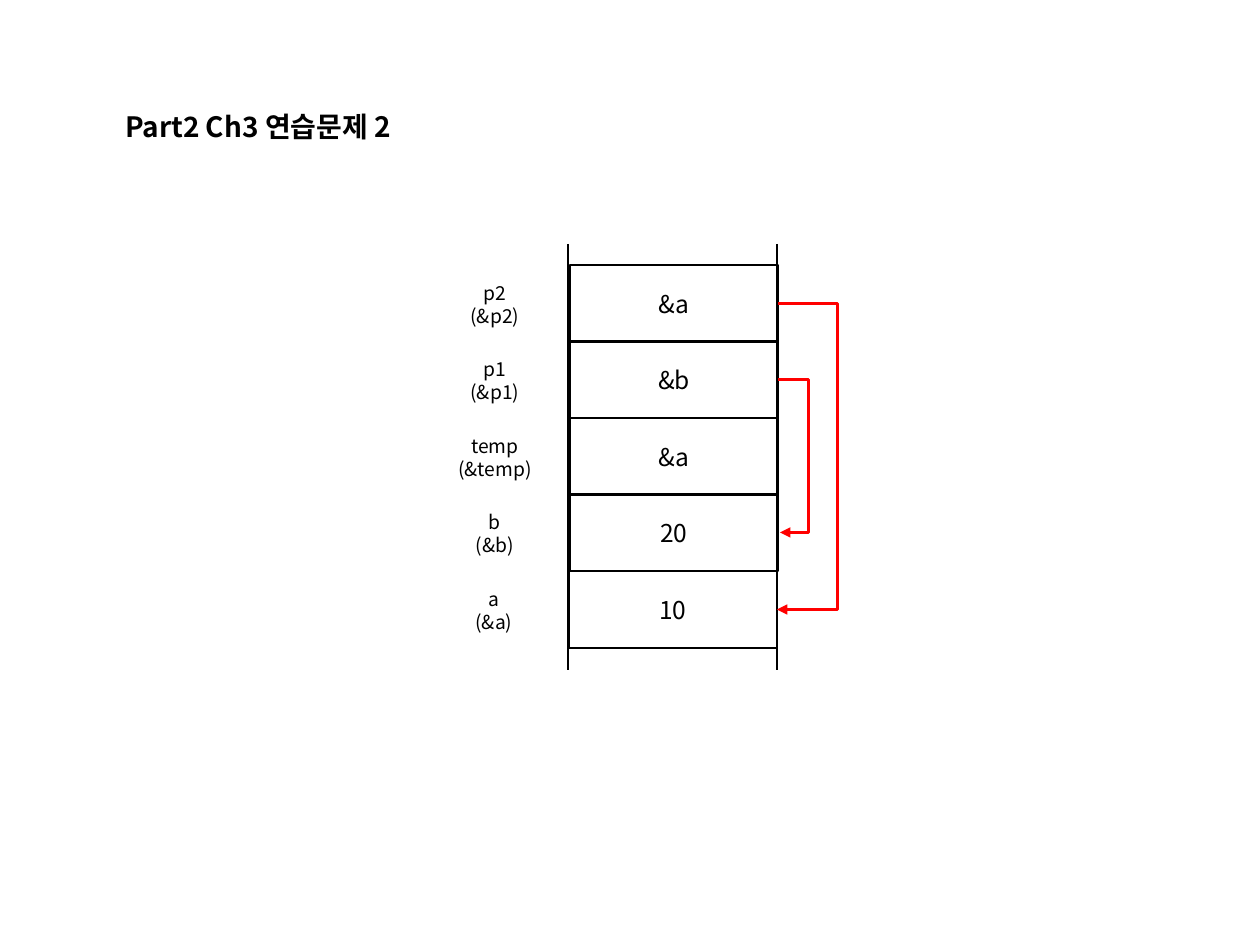
import pptx
import pptx.util
import pptx.dml.color
import pptx.enum.shapes
import pptx.enum.text
import pptx.oxml.ns
import lxml.etree

PX = 914400 / 126
FONT = "Noto Sans CJK KR"
BLACK = "000000"
RED = "FF0000"
ROWS = [("p2", "&a"), ("p1", "&b"), ("temp", "&a"), ("b", "20"), ("a", "10")]
STACK_LEFT = 570
STACK_TOP = 265
CELL_WIDTH = 208
CELL_HEIGHT = 77
qn = pptx.oxml.ns.qn


def px(value):
    return pptx.util.Emu(round(value * PX))


def color(value):
    return pptx.dml.color.RGBColor.from_string(value)


def set_line(line, value):
    line.color.rgb = color(value)
    line.width = pptx.util.Pt(1.5)


def write(shape, lines, size, bold=False):
    frame = shape.text_frame
    frame.word_wrap = True
    frame.vertical_anchor = pptx.enum.text.MSO_ANCHOR.MIDDLE
    frame.text = "\n".join(lines)
    for para in frame.paragraphs:
        para.alignment = pptx.enum.text.PP_ALIGN.CENTER
        font = para.font
        font.name = FONT
        font.size = pptx.util.Pt(size)
        font.bold = bold
        font.color.rgb = color(BLACK)
        defaults = para._p.pPr.find(qn("a:defRPr"))
        lxml.etree.SubElement(defaults, qn("a:ea"), typeface=FONT)


def add_text(shapes, left, top, width, height, lines, size, bold=False):
    box = shapes.add_textbox(px(left), px(top), px(width), px(height))
    write(box, lines, size, bold)


def add_cell(shapes, left, top, value):
    cell = shapes.add_shape(
        pptx.enum.shapes.MSO_SHAPE.RECTANGLE,
        px(left), px(top), px(CELL_WIDTH), px(CELL_HEIGHT),
    )
    cell.shadow.inherit = False
    cell.fill.background()
    set_line(cell.line, BLACK)
    write(cell, [value], 14)
    return cell


def add_variable(page, row, name, value):
    left = STACK_LEFT - (name == "a")
    top = STACK_TOP + row * 153 // 2
    group = page.shapes.add_group_shape()
    cell = add_cell(group.shapes, left, top, value)
    add_text(group.shapes, left - 139, top + 9, 128, 60, [name, f"(&{name})"], 11)
    return cell


def add_line(page, kind, start, end, value):
    line = page.shapes.add_connector(kind, *(px(v) for v in start + end))
    set_line(line.line, value)
    lxml.etree.SubElement(line._element.spPr, qn("a:effectLst"))
    return line


def add_rail(page, x):
    add_line(page, pptx.enum.shapes.MSO_CONNECTOR.STRAIGHT, (x, 244), (x, 670), BLACK)


def add_pointer(page, source, target, end_x, bend_x):
    start_x = STACK_LEFT + CELL_WIDTH
    start_y, end_y = (
        (cell.top + cell.height / 2) / PX for cell in (source, target)
    )
    arrow = add_line(
        page, pptx.enum.shapes.MSO_CONNECTOR.ELBOW,
        (start_x, start_y), (end_x, end_y), RED,
    )
    arrow.begin_connect(source, 3)
    bend = round(100000 * (bend_x - start_x) / (end_x - start_x))
    guides = arrow._element.spPr.find(qn("a:prstGeom")).find(qn("a:avLst"))
    lxml.etree.SubElement(guides, qn("a:gd"), name="adj1", fmla=f"val {bend}")
    outline = arrow._element.spPr.find(qn("a:ln"))
    lxml.etree.SubElement(outline, qn("a:tailEnd"), type="triangle")


def main():
    deck = pptx.Presentation()
    deck.slide_width = px(1260)
    deck.slide_height = px(945)
    page = deck.slides.add_slide(deck.slide_layouts[6])
    for x in (568, 777):
        add_rail(page, x)
    add_text(page.shapes, 94, 76, 328, 100, ["Part2 Ch3 연습문제 2"], 16, True)
    cells = {
        name: add_variable(page, row, name, value)
        for row, (name, value) in enumerate(ROWS)
    }
    add_pointer(page, cells["p1"], cells["b"], 780, 809)
    add_pointer(page, cells["p2"], cells["a"], 777, 838)
    deck.save("out.pptx")


if __name__ == "__main__":
    main()
